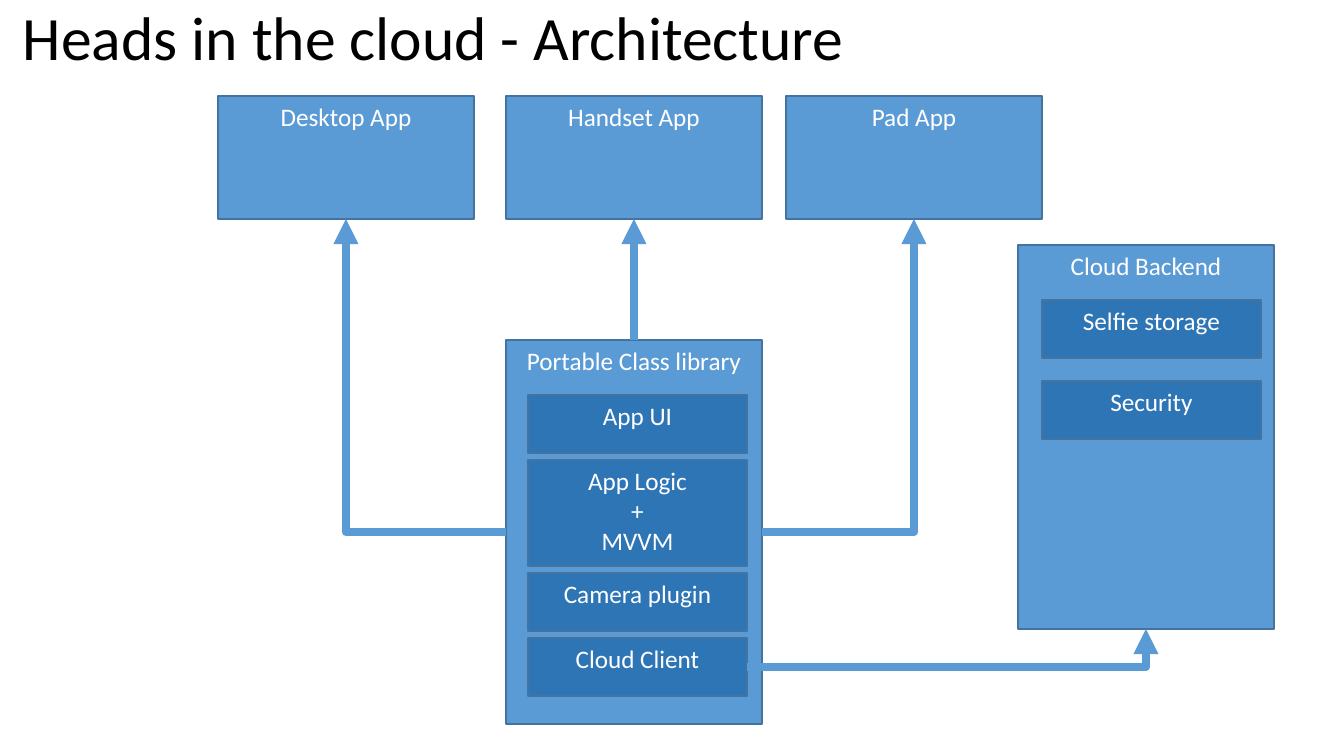
"""Build the Heads in the cloud architecture slide."""
from lxml import etree
from pptx import Presentation
from pptx.dml.color import RGBColor
from pptx.enum.shapes import MSO_CONNECTOR, MSO_SHAPE
from pptx.enum.text import MSO_ANCHOR, PP_ALIGN
from pptx.oxml.ns import qn
from pptx.util import Pt

RECTANGLE = MSO_SHAPE.RECTANGLE
STRAIGHT, ELBOW = MSO_CONNECTOR.STRAIGHT, MSO_CONNECTOR.ELBOW
TOP, MIDDLE = MSO_ANCHOR.TOP, MSO_ANCHOR.MIDDLE
LEFT, CENTER = PP_ALIGN.LEFT, PP_ALIGN.CENTER
TOP_SIDE, BOTTOM_SIDE, LEFT_SIDE, RIGHT_SIDE = 0, 2, 1, 3

EMU_PER_PX = 914400 / 100.8
SLIDE_SIZE = (1344, 756)
FONT = "Calibri"
COLORS = {
    "panel": "5B9BD5",
    "part": "2E75B6",
    "border": "43739E",
    "light": "FFFFFF",
    "title": "000000",
}

TITLE = "Heads in the cloud - Architecture"
TITLE_BOX = (13, 0, 1159, 82)

APP_TOP, PANEL_WIDTH, APP_HEIGHT, STACK_HEIGHT = 96, 256, 123, 384
APPS = [("Desktop App", 218), ("Handset App", 506), ("Pad App", 786)]

PART_WIDTH, PART_OFFSET, PART_HEIGHT = 219, 55, 58
STACKS = [
    {
        "name": "Portable Class library", "left": 506, "top": 340, "inset": 22, "gap": 7,
        "parts": [("App UI", PART_HEIGHT), ("App Logic\n+\nMVVM", 106),
                  ("Camera plugin", PART_HEIGHT), ("Cloud Client", PART_HEIGHT)],
    },
    {
        "name": "Cloud Backend", "left": 1018, "top": 245, "inset": 24, "gap": 23,
        "parts": [("Selfie storage", PART_HEIGHT), ("Security", PART_HEIGHT)],
    },
]

ARROWS = [
    ("Portable Class library", TOP_SIDE, "Handset App", STRAIGHT),
    ("Portable Class library", LEFT_SIDE, "Desktop App", ELBOW),
    ("Portable Class library", RIGHT_SIDE, "Pad App", ELBOW),
    ("Cloud Client", RIGHT_SIDE, "Cloud Backend", ELBOW),
]


def px(*lengths):
    return [round(length * EMU_PER_PX) for length in lengths]


def color(name):
    return RGBColor.from_string(COLORS[name])


def set_all(target, values):
    for name, value in values.items():
        setattr(target, name, value)


def write(shape, text, size, color_name, anchor, alignment, spacing):
    frame = shape.text_frame
    set_all(frame, {"word_wrap": True, "vertical_anchor": anchor, "text": text})
    for paragraph in frame.paragraphs:
        set_all(paragraph, {"alignment": alignment, "line_spacing": spacing})
        for run in paragraph.runs:
            set_all(run.font, {"name": FONT, "size": Pt(size)})
            run.font.color.rgb = color(color_name)


def add_box(slide, text, fill, bounds):
    shape = slide.shapes.add_shape(RECTANGLE, *px(*bounds))
    shape.shadow.inherit = False
    shape.fill.solid()
    shape.fill.fore_color.rgb = color(fill)
    shape.line.color.rgb = color("border")
    shape.line.width = Pt(1)
    write(shape, text, 18, "light", TOP, CENTER, 1.0)
    return shape


def add_stack(slide, stack):
    left, top = stack["left"], stack["top"]
    bounds = (left, top, PANEL_WIDTH, STACK_HEIGHT)
    boxes = {stack["name"]: add_box(slide, stack["name"], "panel", bounds)}
    part_top = top + PART_OFFSET
    for name, height in stack["parts"]:
        bounds = (left + stack["inset"], part_top, PART_WIDTH, height)
        boxes[name] = add_box(slide, name, "part", bounds)
        part_top += height + stack["gap"]
    return boxes


def add_arrow(slide, source, side, target, kind):
    connector = slide.shapes.add_connector(kind, 0, 0, 0, 0)
    connector.begin_connect(source, side)
    connector.end_connect(target, BOTTOM_SIDE)
    connector.line.color.rgb = color("panel")
    connector.line.width = Pt(6)
    properties = connector._element.spPr
    if kind == ELBOW:
        properties.find(qn("a:prstGeom")).set("prst", "bentConnector2")
    line = properties.find(qn("a:ln"))
    etree.SubElement(line, qn("a:tailEnd"), type="triangle")
    etree.SubElement(properties, qn("a:effectLst"))


def main():
    presentation = Presentation()
    width, height = px(*SLIDE_SIZE)
    set_all(presentation, {"slide_width": width, "slide_height": height})
    slide = presentation.slides.add_slide(presentation.slide_layouts[6])

    title = slide.shapes.add_textbox(*px(*TITLE_BOX))
    write(title, TITLE, 44, "title", MIDDLE, LEFT, 0.9)

    boxes = {}
    for name, left in APPS:
        bounds = (left, APP_TOP, PANEL_WIDTH, APP_HEIGHT)
        boxes[name] = add_box(slide, name, "panel", bounds)
    for stack in STACKS:
        boxes.update(add_stack(slide, stack))
    for source, side, target, kind in ARROWS:
        add_arrow(slide, boxes[source], side, boxes[target], kind)

    presentation.save("out.pptx")


if __name__ == "__main__":
    main()
